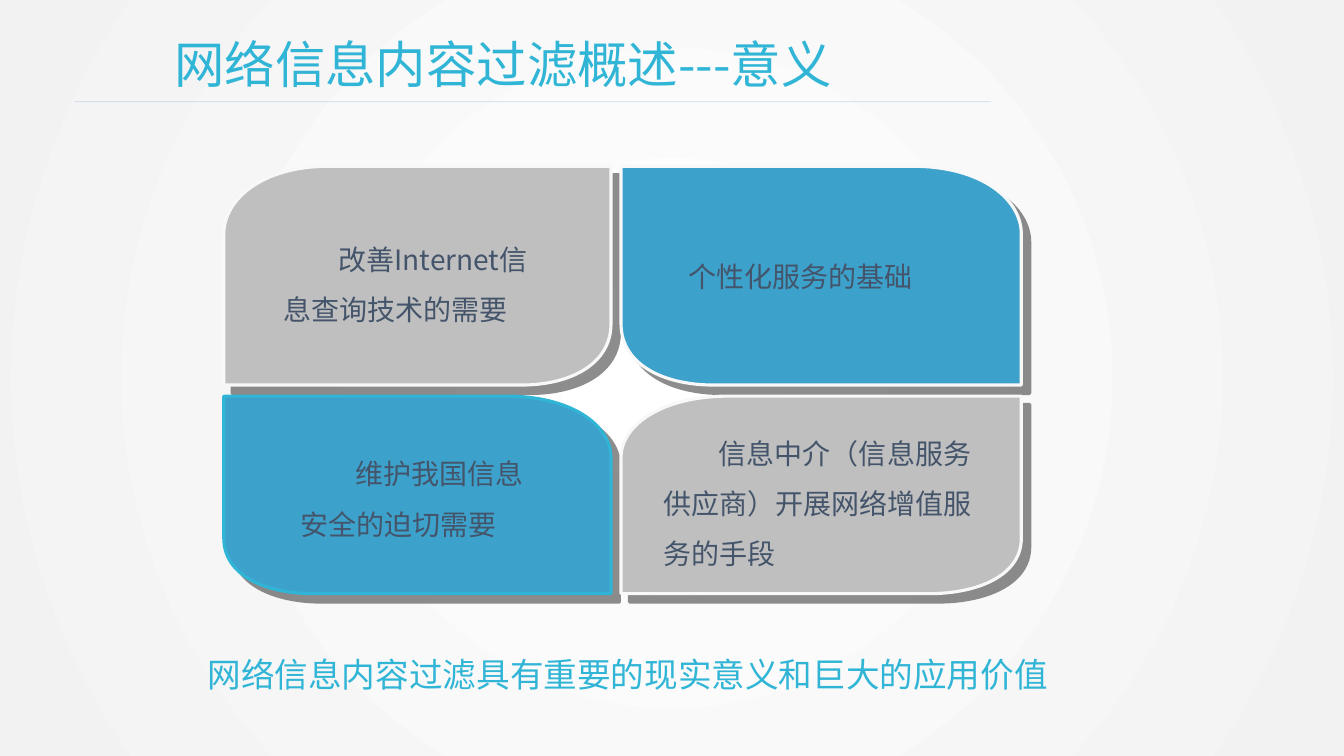
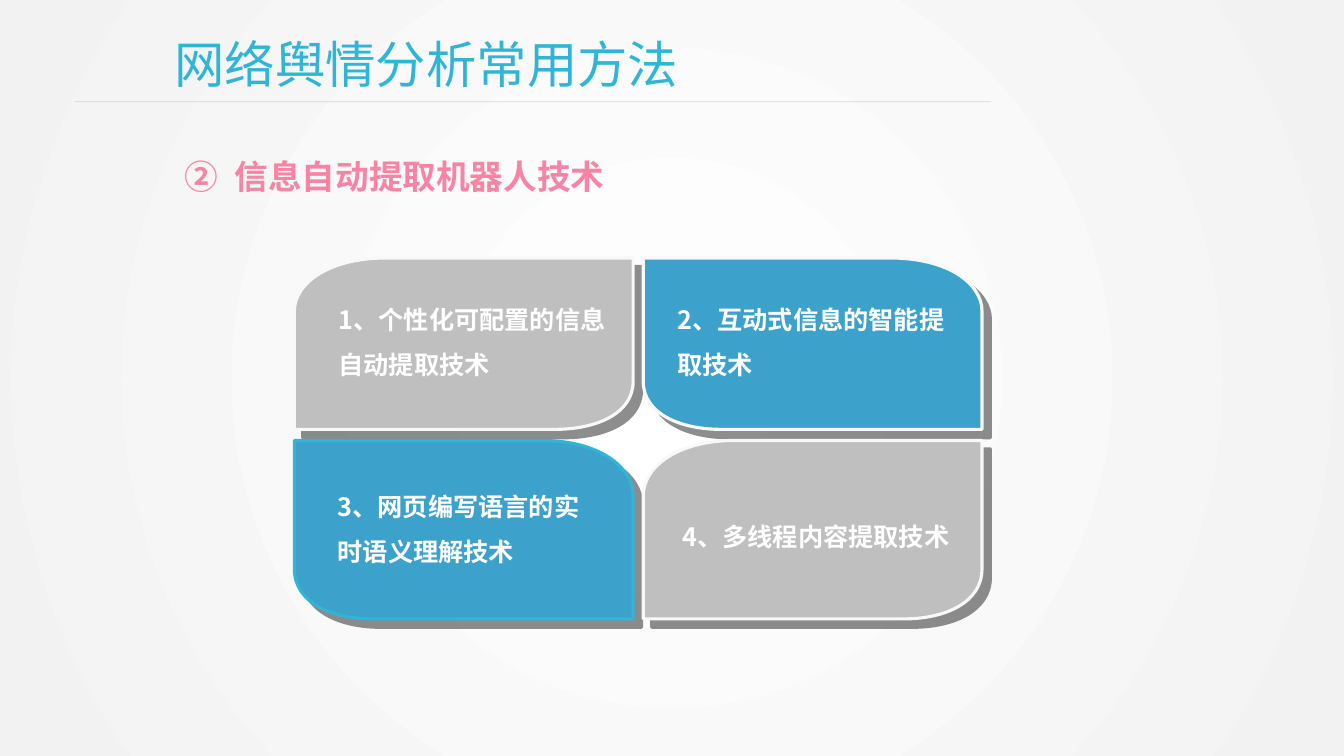
from dataclasses import dataclass
from itertools import product

from lxml import etree
from pptx import Presentation
from pptx import util as u
from pptx.dml.color import RGBColor
from pptx.enum import dml, shapes, text
from pptx.oxml import ns

PX = 9144


@dataclass(frozen=True)
class Theme:
    font: str = "Noto Sans CJK SC"
    accent: str = "31B5D6"
    rule: str = "4A7EBB"
    pink: str = "F784A5"
    gray: str = "BFBFBF"
    blue: str = "3DA2CB"
    edge: str = "F8F8F8"
    shade: str = "1C1C1C"
    ink: str = "44546A"
    white: str = "FFFFFF"
    mist: str = "F2F2F2"
    title_size: int = 36
    lead_size: int = 24
    body_size: int = 20
    card_size: int = 18


theme = Theme()
rgb = RGBColor.from_string


def add_xml(parent, tag, **attrs):
    child = etree.SubElement(parent, ns.qn(tag))
    for name, value in attrs.items():
        child.set(name, str(value))
    return child


def add_text(s, box, words, size, color, bold=False, middle=False,
             spacing=None, indent=0, number=None):
    sp = s.shapes.add_textbox(*(v * PX for v in box))
    tf = sp.text_frame
    tf.word_wrap = True
    if middle:
        tf.vertical_anchor = text.MSO_ANCHOR.MIDDLE
    p = tf.paragraphs[0]
    if spacing:
        p.line_spacing = spacing
    pPr = p._p.get_or_add_pPr()
    if indent:
        pPr.set("indent", str(indent * PX))
    if number:
        pPr.set("marL", str(-indent * PX))
        add_xml(pPr, "a:buAutoNum", type="circleNumDbPlain", startAt=number)
    r = p.add_run()
    r.text = words
    r.font.size = u.Pt(size)
    r.font.bold = bold
    r.font.color.rgb = rgb(color)
    r.font.name = theme.font
    add_xml(r._r.get_or_add_rPr(), "a:ea", typeface=theme.font)


prs = Presentation()
prs.slide_width, prs.slide_height = 1333 * PX, 750 * PX

fill = prs.slide_master.background.fill
fill.gradient()
for stop, color in zip(fill.gradient_stops, (theme.white, theme.mist)):
    stop.color.rgb = rgb(color)
grad = next(prs.slide_master._element.iter(ns.qn("a:gradFill")))
grad.remove(grad.find(ns.qn("a:lin")))
radial = add_xml(grad, "a:path", path="circle")
add_xml(radial, "a:fillToRect", l=50000, t=50000, r=50000, b=50000)

petal = [
    (0.77, 1), (0.38, 1), (0, 1), (0, 1),
    (0, 1), (0, 0.65), (0, 0.31),
    (0, 0.15), (0.1, 0), (0.27, 0),
    (0.63, 0), (1, 0), (1, 0),
    (1, 0), (1, 0.36), (1, 0.72),
    (1, 0.91), (0.89, 1), (0.77, 1),
]

body = dict(size=theme.body_size, color=theme.ink, middle=True)
wrapped = dict(body, spacing=1.5, indent=55)
card = dict(size=theme.card_size, color=theme.white, bold=True, middle=True, spacing=1.5)
lead = dict(size=theme.lead_size)

pages = [
    dict(
        title="网络信息内容过滤概述---意义",
        cols=[(222, 384), (616, 397)],
        rows=[(165, 217), (393, 196)],
        texts=[
            ((271, 221, 286, 105), "改善Internet信息查询技术的需要", wrapped),
            ((673, 252, 286, 44), "个性化服务的基础", body),
            ((288, 434, 269, 105), "维护我国信息安全的迫切需要", wrapped),
            ((648, 413, 335, 156), "信息中介（信息服务供应商）开展网络增值服务的手段", wrapped),
            ((196, 644, 862, 50), "网络信息内容过滤具有重要的现实意义和巨大的应用价值",
             dict(lead, color=theme.accent)),
        ],
    ),
    dict(
        title="网络舆情分析常用方法",
        cols=[(292, 336), (638, 336)],
        rows=[(256, 170), (437, 177)],
        texts=[
            ((173, 150, 480, 50), "信息自动提取机器人技术",
             dict(lead, color=theme.pink, bold=True, indent=-50, number=2)),
            ((326, 284, 286, 96), "1、个性化可配置的信息自动提取技术", card),
            ((662, 284, 286, 96), "2、互动式信息的智能提取技术", card),
            ((325, 469, 269, 96), "3、网页编写语言的实时语义理解技术", card),
            ((667, 477, 286, 96), "4、多线程内容提取技术", card),
        ],
    ),
]

for page in pages:
    s = prs.slides.add_slide(prs.slide_layouts[6])
    add_text(s, (163, 28, 850, 71), page["title"], theme.title_size, theme.accent)

    rule = s.shapes.add_connector(
        shapes.MSO_CONNECTOR.STRAIGHT, 74 * PX, 101 * PX, 983 * PX, 101 * PX)
    rule.line.width = u.Pt(0.5)
    rule.line.color.rgb = rgb(theme.rule)
    rule.line.dash_style = dml.MSO_LINE.SOLID
    add_xml(next(rule._element.iter(ns.qn("a:srgbClr"))), "a:alpha", val=25000)
    add_xml(rule._element.spPr, "a:effectLst")

    for row, col in product((0, 1), repeat=2):
        left, width = page["cols"][col]
        top, height = page["rows"][row]
        mirrored = row != col
        points = [(round((left + width * (1 - x if mirrored else x)) * PX),
                   round((top + height * y) * PX)) for x, y in petal]
        outline = s.shapes.build_freeform(*points[0])
        outline.add_line_segments(points[1:], close=False)
        sp = outline.convert_to_shape()

        track = next(sp._element.iter(ns.qn("a:path")))
        lines = track.findall(ns.qn("a:lnTo"))
        for i in range(0, len(lines), 3):
            curve = add_xml(track, "a:cubicBezTo")
            for line in lines[i:i + 3]:
                curve.append(line[0])
                track.remove(line)
        add_xml(track, "a:close")

        sp.fill.solid()
        sp.fill.fore_color.rgb = rgb(theme.blue if mirrored else theme.gray)
        sp.line.width = u.Pt(2.25)
        sp.line.color.rgb = rgb(theme.accent if row > col else theme.edge)
        sp.shadow.inherit = False
        effects = sp._element.spPr.find(ns.qn("a:effectLst"))
        shadow = add_xml(effects, "a:outerShdw", dist=u.Pt(8.5), dir=45 * 60000,
                         algn="ctr", rotWithShape=0)
        add_xml(add_xml(shadow, "a:srgbClr", val=theme.shade), "a:alpha", val=50000)

    for box, words, style in page["texts"]:
        add_text(s, box, words, **style)

prs.save("out.pptx")
